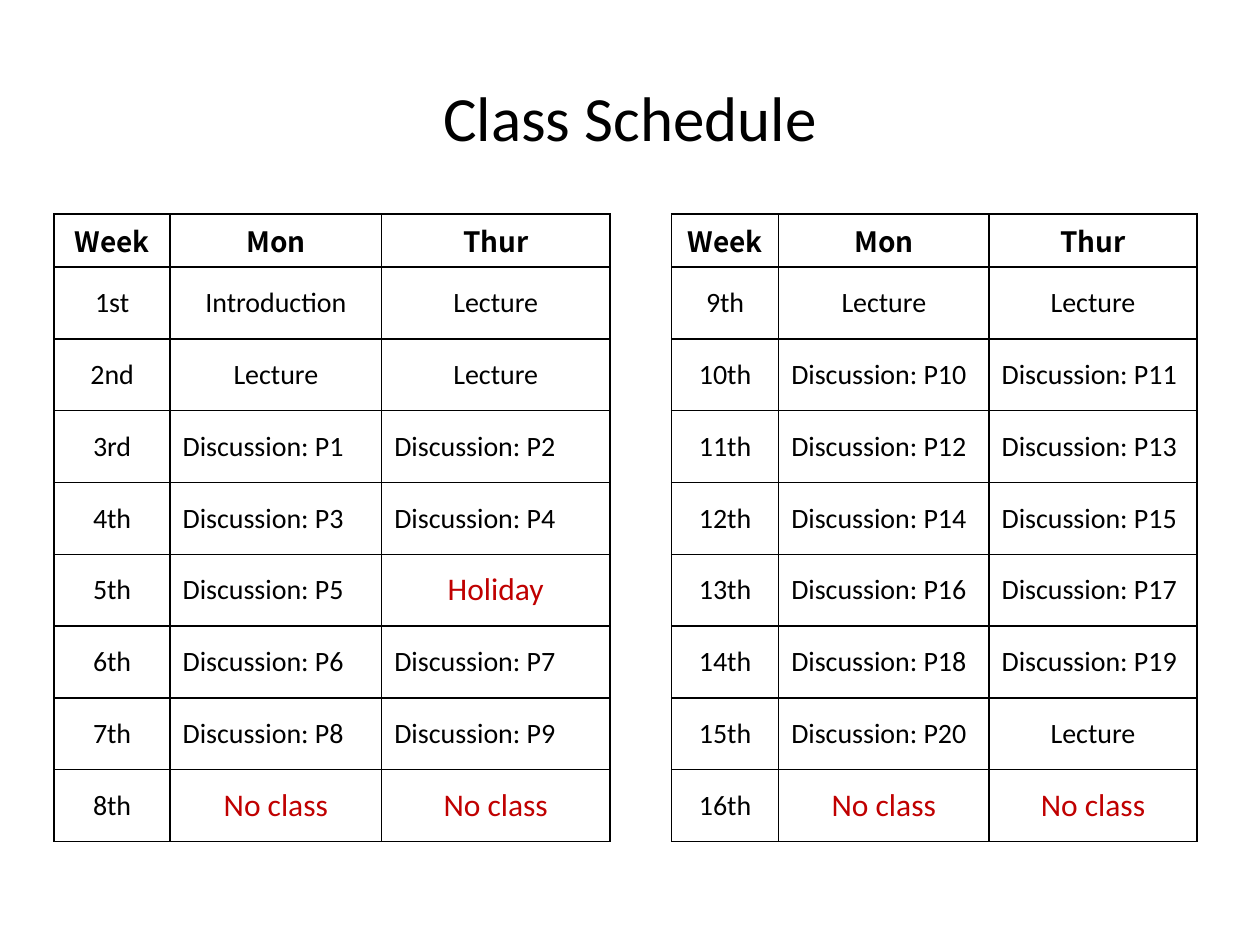
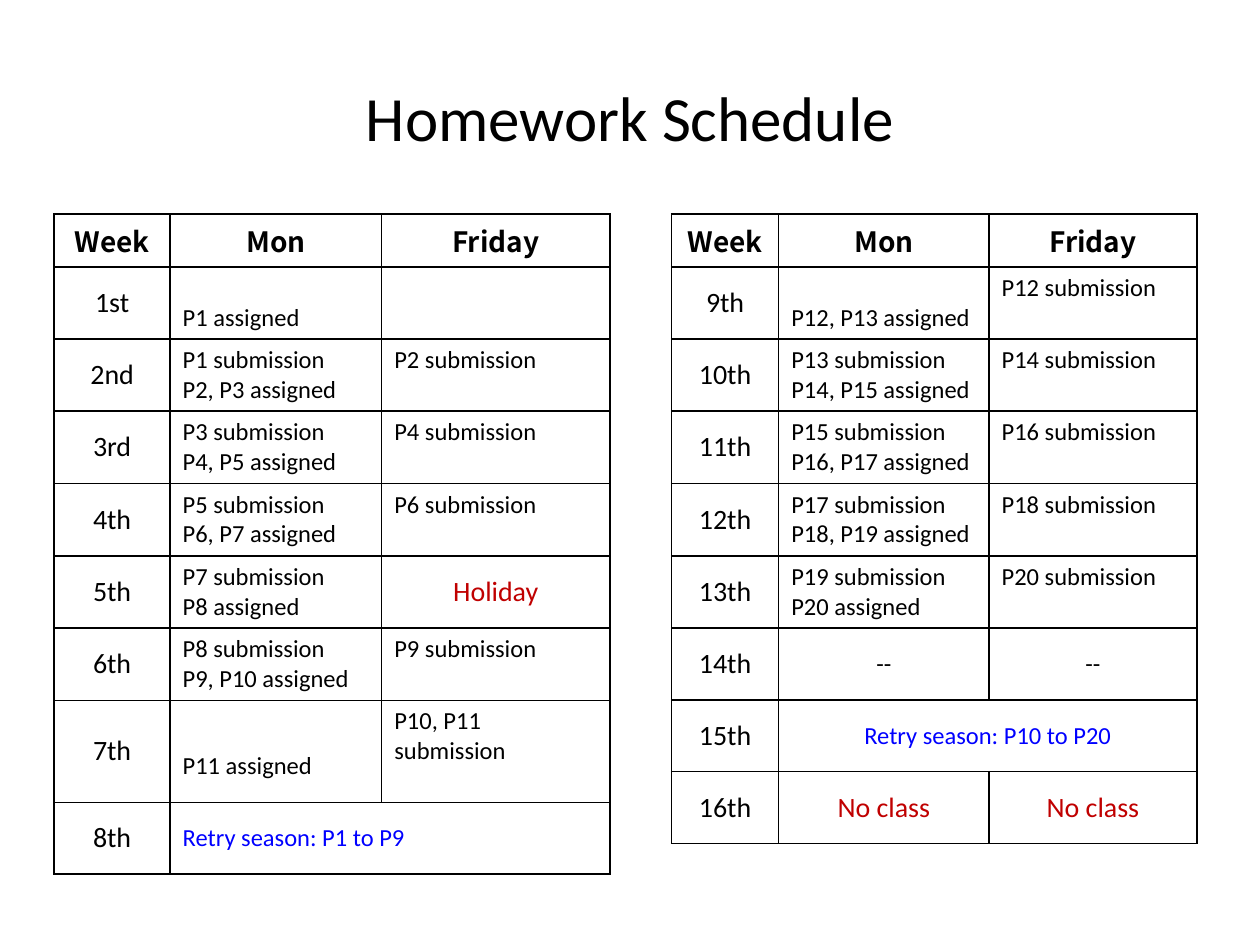
"""Build the class and homework schedule slides, each with two half-term tables."""
import pptx
import pptx.dml.color
import pptx.enum.text
import pptx.oxml
import pptx.oxml.ns
import pptx.util

Inches = pptx.util.Inches
Pt = pptx.util.Pt
ALIGN = pptx.enum.text.PP_ALIGN
ANCHOR = pptx.enum.text.MSO_ANCHOR

COLORS = {"text": "000000", "paper": "FFFFFF", "off": "C00000", "retry": "0000FF"}
BODY_FONT, HEAD_FONT = "Calibri", "Noto Sans CJK KR"
HALVES = [(0.43, [0.92, 1.68, 1.81]), (5.33, [0.85, 1.67, 1.65])]
TOP, HEAD_HEIGHT, ROW_HEIGHT, TALL_ROW = 1.7, 0.36, 0.57, 0.81
WEEKS = [
    ["1st", "2nd", "3rd", "4th", "5th", "6th", "7th", "8th"],
    ["9th", "10th", "11th", "12th", "13th", "14th", "15th", "16th"],
]


class Deck:
    def __init__(self):
        self.prs = pptx.Presentation()
        self.prs.slide_width, self.prs.slide_height = Inches(10), Inches(7.5)
        self.s = None

    def slide(self, title):
        self.s = self.prs.slides.add_slide(self.prs.slide_layouts[5])
        sp = self.s.shapes.title
        sp.left, sp.top, sp.width, sp.height = map(Inches, (0.5, 0.3, 9, 1.25))
        tf = sp.text_frame
        tf.text = title
        tf.vertical_anchor = ANCHOR.MIDDLE
        self.format(tf, 36, ALIGN.CENTER)

    def format(self, tf, size, align, color="text", font=BODY_FONT, bold=False):
        for p in tf.paragraphs:
            p.alignment = align
            for r in p.runs:
                r.font.size, r.font.name, r.font.bold = Pt(size), font, bold
                r.font.color.rgb = pptx.dml.color.RGBColor.from_string(COLORS[color])

    def border(self, cell):
        tc_pr = cell._tc.get_or_add_tcPr()
        for side in ("lnL", "lnR", "lnT", "lnB"):
            tc_pr.append(pptx.oxml.parse_xml(
                f'<a:{side} {pptx.oxml.ns.nsdecls("a")} w="{Pt(1)}"><a:solidFill>'
                f'<a:srgbClr val="{COLORS["text"]}"/></a:solidFill></a:{side}>'))
        cell.fill.solid()
        cell.fill.fore_color.rgb = pptx.dml.color.RGBColor.from_string(COLORS["paper"])

    def body_cell(self, cell, text, size, off_size):
        cell.text = text
        cell.vertical_anchor = ANCHOR.MIDDLE
        task = text.endswith(("submission", "assigned"))
        align = ALIGN.LEFT if task or text.startswith("Discussion") else ALIGN.CENTER
        color = "text"
        if text in ("Holiday", "No class"):
            color, size = "off", off_size
        elif text.startswith("Retry"):
            color = "retry"
        if task and "\n" not in text:
            cell.vertical_anchor = ANCHOR.TOP if text.endswith("submission") else ANCHOR.BOTTOM
        self.format(cell.text_frame, size, align, color)

    def schedule(self, half, days, plan, size, off_size):
        """Draw one half-term table; None in the plan joins a cell to the one on its left."""
        left, widths = HALVES[half]
        heights = [HEAD_HEIGHT] + [ROW_HEIGHT] * len(plan)
        table = self.s.shapes.add_table(
            len(heights), len(widths), Inches(left), Inches(TOP),
            Inches(sum(widths)), Inches(sum(heights))).table
        table.first_row = table.horz_banding = False
        for column, width in zip(table.columns, widths):
            column.width = Inches(width)
        for row, height in zip(table.rows, heights):
            row.height = Inches(height)
        for cell in table.iter_cells():
            self.border(cell)
        for c, text in enumerate(["Week"] + days):
            cell = table.cell(0, c)
            cell.text = text
            self.format(cell.text_frame, 16, ALIGN.CENTER, font=HEAD_FONT, bold=True)
        for r, (week, entries) in enumerate(zip(WEEKS[half], plan), 1):
            self.body_cell(table.cell(r, 0), week, 16, off_size)
            for c, text in enumerate(entries, 1):
                if text is None:
                    table.cell(r, c - 1).merge(table.cell(r, c))
                elif text:
                    self.body_cell(table.cell(r, c), text, size, off_size)
        return table


def talks(first):
    return [f"Discussion: P{n}" for n in (first, first + 1)]


def homework(due, assigned):
    return [f"P{due} submission\n{assigned} assigned", f"P{due + 1} submission"]


LECTURES, NO_CLASS = ["Lecture", "Lecture"], ["No class", "No class"]

CLASSES = [
    [["Introduction", "Lecture"], LECTURES, talks(1), talks(3),
     ["Discussion: P5", "Holiday"], talks(6), talks(8), NO_CLASS],
    [LECTURES, talks(10), talks(12), talks(14), talks(16), talks(18),
     ["Discussion: P20", "Lecture"], NO_CLASS],
]

HOMEWORK = [
    [["P1 assigned", ""], homework(1, "P2, P3"), homework(3, "P4, P5"),
     homework(5, "P6, P7"), ["P7 submission\nP8 assigned", "Holiday"],
     homework(8, "P9, P10"), ["P11 assigned", "P10, P11 submission"],
     ["Retry season: P1 to P9", None]],
    [["P12, P13 assigned", "P12 submission"], homework(13, "P14, P15"),
     homework(15, "P16, P17"), homework(17, "P18, P19"), homework(19, "P20"),
     ["--", "--"], ["Retry season: P10 to P20", None], NO_CLASS],
]

deck = Deck()
deck.slide("Class Schedule")
for half, plan in enumerate(CLASSES):
    deck.schedule(half, ["Mon", "Thur"], plan, 16, 18)

deck.slide("Homework Schedule")
first, second = [deck.schedule(half, ["Mon", "Friday"], plan, 14, 16)
                 for half, plan in enumerate(HOMEWORK)]
first.rows[7].height = Inches(TALL_ROW)
first.cell(7, 1).margin_bottom = Inches(0.17)
first.cell(8, 1).text_frame.paragraphs[0].alignment = ALIGN.LEFT

deck.prs.save("out.pptx")
